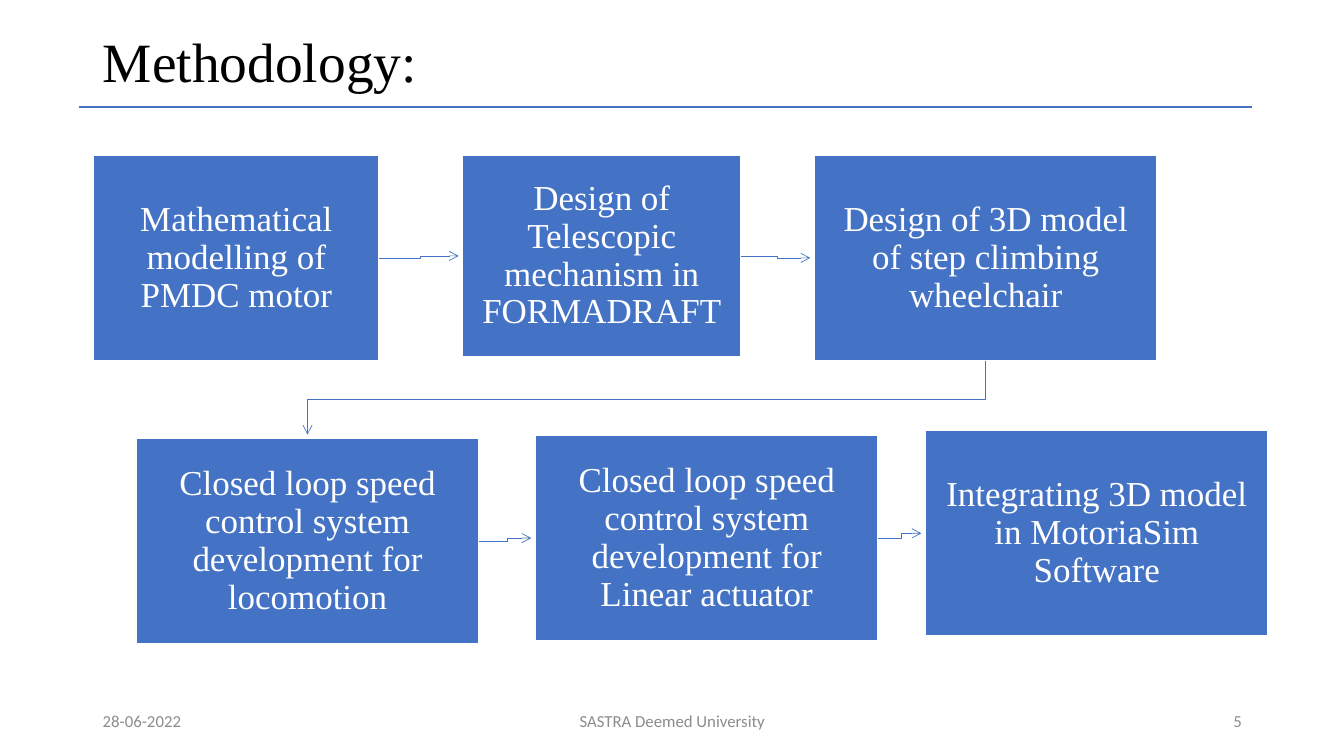
from itertools import pairwise

from lxml.etree import SubElement
from pptx import Presentation
from pptx.dml.color import RGBColor
from pptx.enum.shapes import MSO_CONNECTOR, MSO_SHAPE
from pptx.enum.text import MSO_ANCHOR, MSO_AUTO_SIZE, PP_ALIGN
from pptx.oxml.ns import qn
from pptx.util import Cm, Pt

BLUE = RGBColor(0x44, 0x72, 0xC4)
WHITE = RGBColor(0xFF, 0xFF, 0xFF)
BLACK = RGBColor(0, 0, 0)
GRAY = RGBColor(0x8C, 0x8C, 0x8C)
SERIF, SANS = "Times New Roman", "Calibri"

TITLE = "Methodology:"
# text, left, top, width, height in cm, in order of the work
STEPS = [
    ("Mathematical modelling of PMDC motor", 2.36, 3.91, 7.19, 5.18),
    ("Design of Telescopic mechanism in FORMADRAFT", 11.66, 3.91, 7.01, 5.08),
    ("Design of 3D model of step climbing wheelchair", 20.52, 3.91, 8.64, 5.18),
    ("Closed loop speed control system development for locomotion",
     3.43, 11.05, 8.64, 5.18),
    ("Closed loop speed control system development for Linear actuator",
     13.49, 10.97, 8.64, 5.18),
    ("Integrating 3D model in MotoriaSim Software", 23.32, 10.85, 8.64, 5.18),
]
# text, left, width in cm, alignment
FOOTERS = [
    ("28-06-2022", 2.34, 7.62, PP_ALIGN.LEFT),
    ("SASTRA Deemed University", 11.23, 11.43, PP_ALIGN.CENTER),
    ("5", 23.93, 7.62, PP_ALIGN.RIGHT),
]
ARROW_GAP = Cm(0.1)


def write(shape, text, font_name, size, color, alignment, line_spacing=1.0):
    frame = shape.text_frame
    frame.word_wrap = True
    frame.auto_size = MSO_AUTO_SIZE.NONE
    frame.vertical_anchor = MSO_ANCHOR.MIDDLE
    paragraph = frame.paragraphs[0]
    paragraph.alignment = alignment
    paragraph.line_spacing = line_spacing
    run = paragraph.add_run()
    run.text = text
    run.font.name = font_name
    run.font.size = Pt(size)
    run.font.color.rgb = color


def add_step(slide, text, *box):
    step = slide.shapes.add_shape(MSO_SHAPE.RECTANGLE, *map(Cm, box))
    step.shadow.inherit = False
    step.fill.solid()
    step.fill.fore_color.rgb = BLUE
    step.line.color.rgb = WHITE
    step.line.width = Pt(1)
    frame = step.text_frame
    frame.margin_left = frame.margin_right = Cm(0.48)
    frame.margin_top = frame.margin_bottom = Cm(0.48)
    write(step, text, SERIF, 25, WHITE, PP_ALIGN.CENTER, 0.9)
    return step


def arrow_points(source, target):
    """Bend halfway: sideways within a row, downwards to the next row."""
    if target.left > source.left:
        start_x, end_x = source.left + source.width, target.left
        start_y = source.top + source.height // 2
        end_y = target.top + target.height // 2
        bend = (start_x + end_x) // 2
        return [(start_x, start_y), (bend, start_y), (bend, end_y),
                (end_x - ARROW_GAP, end_y)]
    start_x = source.left + source.width // 2
    end_x = target.left + target.width // 2
    start_y, end_y = source.top + source.height, target.top
    bend = (start_y + end_y) // 2
    return [(start_x, start_y), (start_x, bend), (end_x, bend),
            (end_x, end_y - ARROW_GAP)]


def add_arrow(slide, source, target):
    start, *others = arrow_points(source, target)
    builder = slide.shapes.build_freeform(*start)
    builder.add_line_segments(others, close=False)
    arrow = builder.convert_to_shape()
    arrow.shadow.inherit = False
    arrow.fill.background()
    arrow.line.color.rgb = BLUE
    arrow.line.width = Pt(0.5)
    SubElement(arrow.line._get_or_add_ln(), qn("a:tailEnd"), type="arrow")


def main():
    presentation = Presentation()
    presentation.slide_width, presentation.slide_height = Cm(33.87), Cm(19.05)
    slide = presentation.slides.add_slide(presentation.slide_layouts[5])

    title = slide.shapes.title
    title.left, title.top = Cm(2.34), Cm(0.76)
    title.width, title.height = Cm(29.21), Cm(1.73)
    write(title, TITLE, SERIF, 39.6, BLACK, PP_ALIGN.LEFT, 0.9)

    steps = [add_step(slide, *step) for step in STEPS]
    for source, target in pairwise(steps):
        add_arrow(slide, source, target)

    for text, left, width, alignment in FOOTERS:
        footer = slide.shapes.add_textbox(Cm(left), Cm(17.65), Cm(width), Cm(1.02))
        write(footer, text, SANS, 12, GRAY, alignment)

    rule = slide.shapes.add_connector(
        MSO_CONNECTOR.STRAIGHT, Cm(1.98), Cm(2.69), Cm(31.55), Cm(2.69))
    rule.line.color.rgb = BLUE
    rule.line.width = Pt(1.5)
    SubElement(rule._element.spPr, qn("a:effectLst"))

    presentation.save("out.pptx")


if __name__ == "__main__":
    main()
